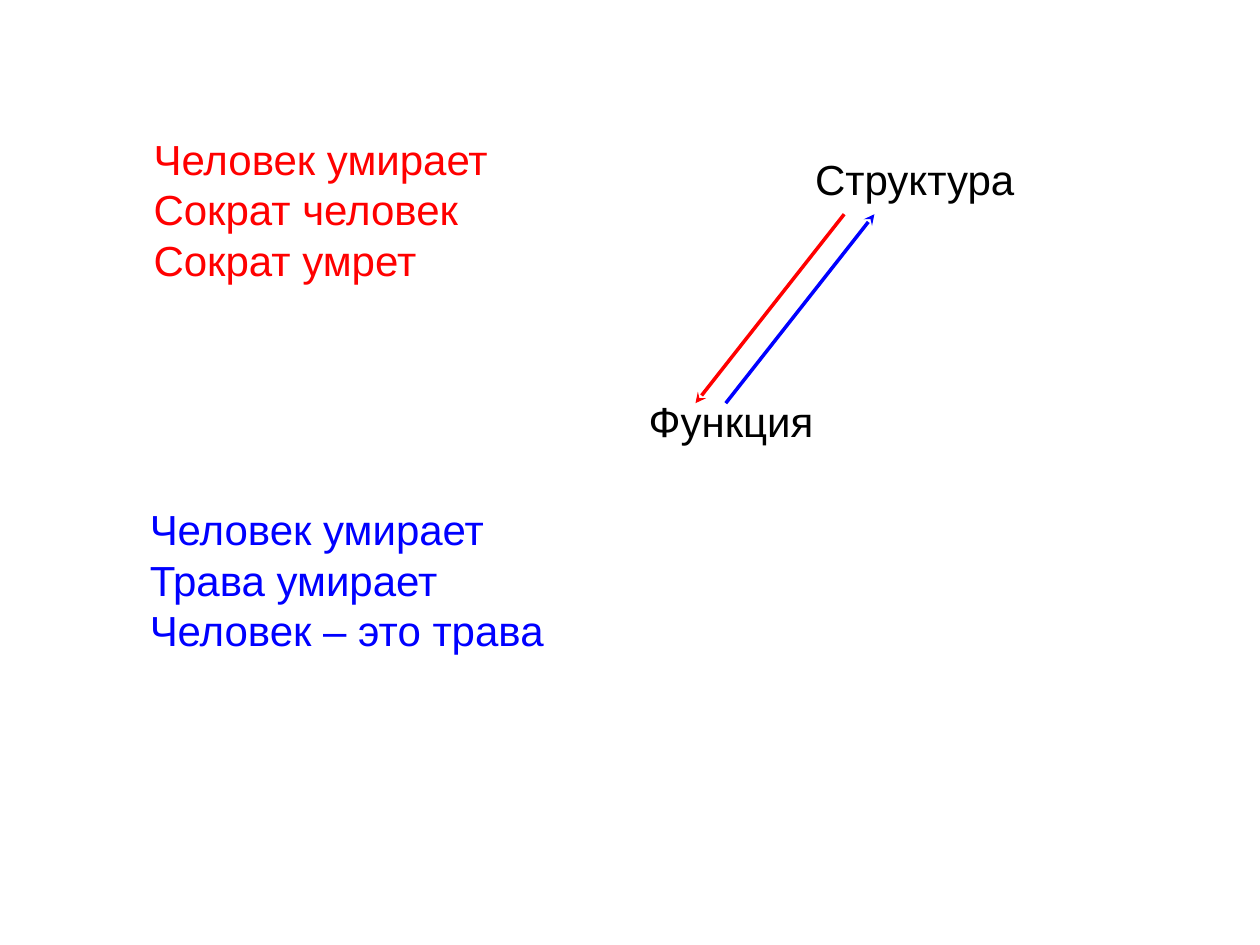
import pptx
import pptx.dml.color
import pptx.enum.shapes
import pptx.enum.text
import pptx.oxml.ns
import pptx.util
from lxml import etree

Inches = pptx.util.Inches
Pt = pptx.util.Pt
COLORS = {"deduction": "FF0000", "induction": "0000FF", "text": "000000"}


class SlideBuilder:
    font = "Arial"
    size = Pt(24)
    line_width = Pt(2)

    def __init__(self, slide):
        self.s = slide

    def color(self, name):
        return pptx.dml.color.RGBColor.from_string(COLORS[name])

    def text(self, text, left, top, width, height, color="text"):
        sp = self.s.shapes.add_textbox(
            Inches(left), Inches(top), Inches(width), Inches(height))
        tf = sp.text_frame
        tf.word_wrap = False
        tf.auto_size = pptx.enum.text.MSO_AUTO_SIZE.SHAPE_TO_FIT_TEXT
        tf.text = text
        for p in tf.paragraphs:
            for r in p.runs:
                r.font.name = self.font
                r.font.size = self.size
                r.font.color.rgb = self.color(color)

    def arrow(self, start, end, color):
        sp = self.s.shapes.add_connector(
            pptx.enum.shapes.MSO_CONNECTOR.STRAIGHT,
            *(Inches(v) for v in start + end))
        sp.line.color.rgb = self.color(color)
        sp.line.width = self.line_width
        qn = pptx.oxml.ns.qn
        ln = sp.line._get_or_add_ln()
        etree.SubElement(ln, qn("a:tailEnd"), type="stealth")
        etree.SubElement(sp._element.spPr, qn("a:effectLst"))


def main():
    prs = pptx.Presentation()
    prs.slide_width, prs.slide_height = Inches(10), Inches(7.5)
    b = SlideBuilder(prs.slides.add_slide(prs.slide_layouts[6]))

    # Deductive syllogism: one paragraph with line breaks
    b.text("Человек умирает\vСократ человек\vСократ умрет",
           1.12, 1.01, 2.88, 1.3, "deduction")

    # Structure and function, linked both ways
    b.text("Структура", 6.37, 1.17, 1.78, 0.5)
    b.text("Функция", 5.05, 3.09, 1.51, 0.5)
    b.arrow((6.7, 1.7), (5.52, 3.2), "deduction")

    # Metaphorical syllogism: one paragraph per statement
    b.text("Человек умирает\nТрава умирает\nЧеловек – это трава",
           1.09, 3.95, 3.35, 1.3, "induction")
    b.arrow((5.76, 3.2), (6.94, 1.7), "induction")

    prs.save("out.pptx")


if __name__ == "__main__":
    main()
